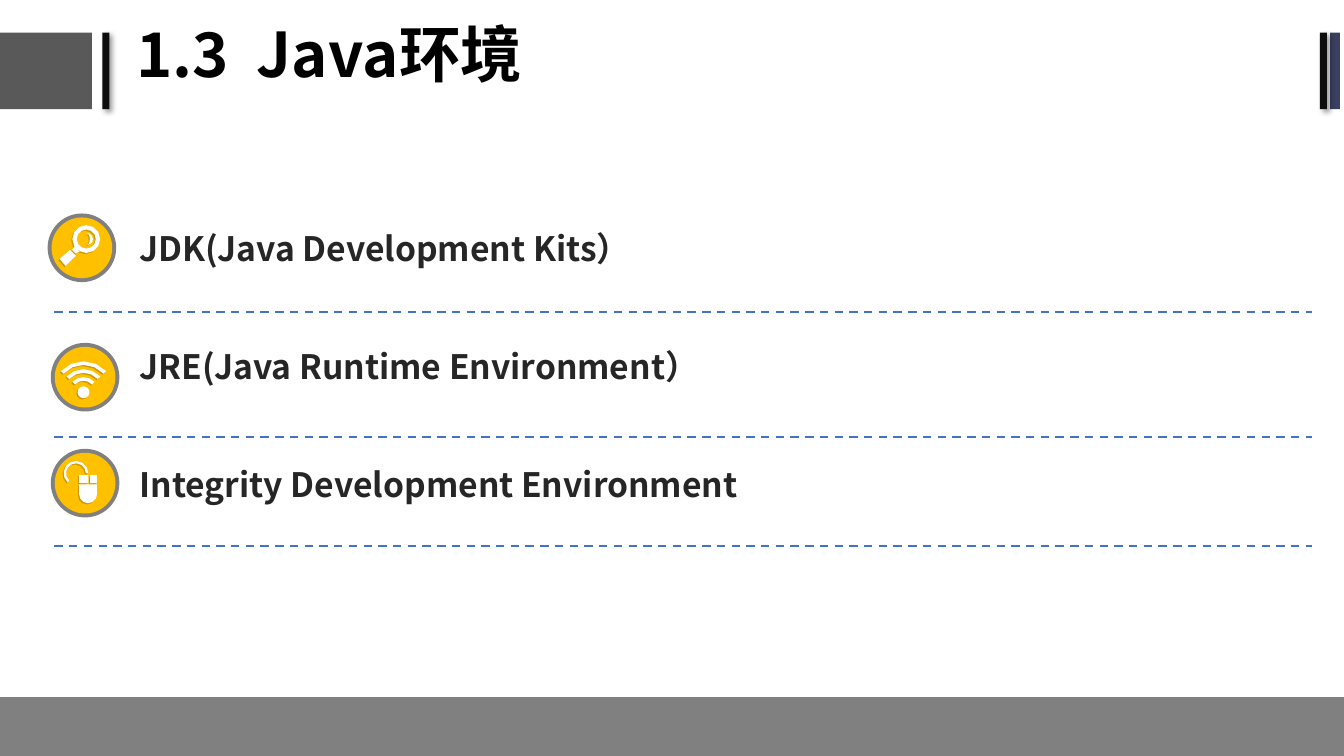
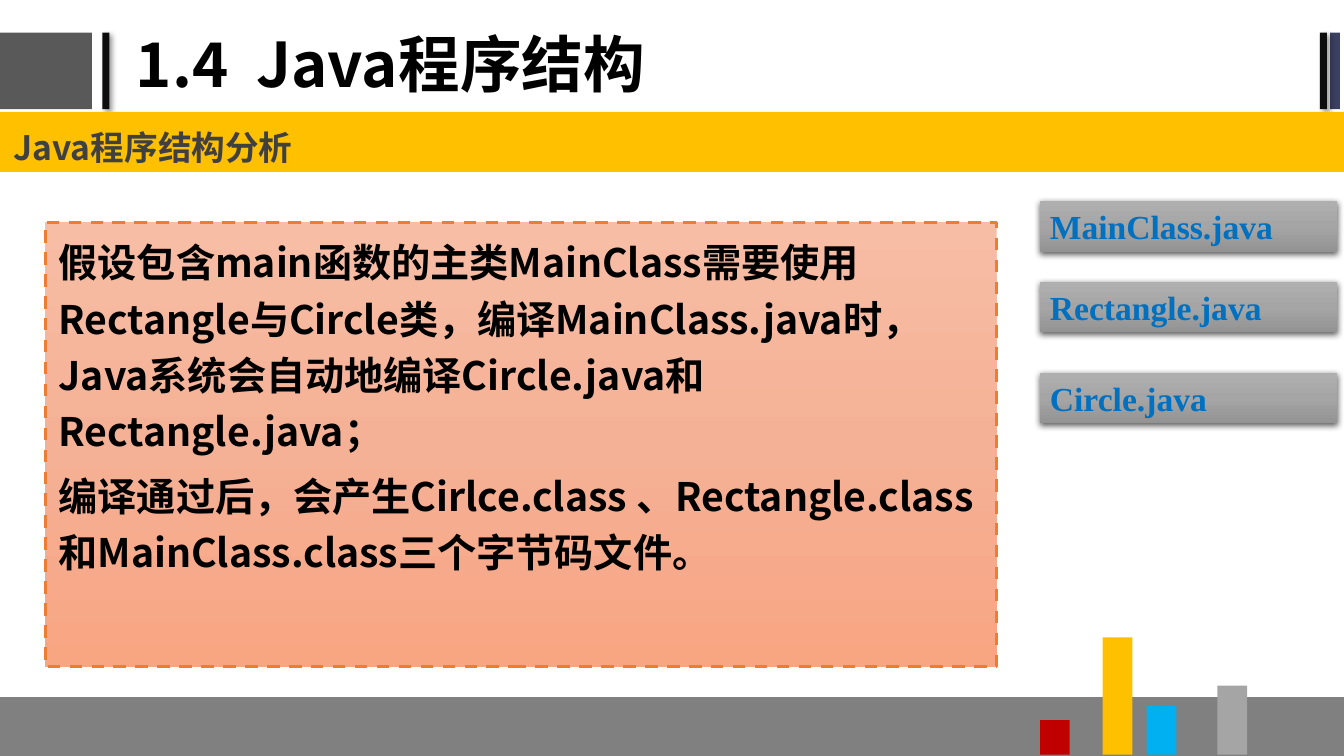
from copy import deepcopy
from dataclasses import dataclass
from math import ceil, cos, radians, sin

from lxml.etree import SubElement
from pptx import Presentation
from pptx.dml.color import RGBColor
from pptx.enum.dml import MSO_LINE
from pptx.enum.shapes import MSO_CONNECTOR, MSO_SHAPE
from pptx.enum.text import MSO_ANCHOR, MSO_AUTO_SIZE, PP_ALIGN
from pptx.oxml.ns import qn
from pptx.util import Cm, Pt


@dataclass(frozen=True)
class Theme:
    sans: str = "Noto Sans CJK SC"
    serif: str = "Times New Roman"
    title_size: int = 44
    body_size: int = 28
    item_size: int = 24
    black: str = "000000"
    white: str = "FFFFFF"
    ink: str = "262626"
    heading: str = "404040"
    block: str = "595959"
    stripe: str = "0D0D0D"
    navy: str = "3B3F60"
    grey: str = "808080"
    silver: str = "A5A5A5"
    yellow: str = "FFC000"
    red: str = "C00000"
    cyan: str = "00B0F0"
    blue: str = "0070C0"
    rule: str = "4472C4"
    orange: str = "ED7D31"
    peach: tuple = ("F7BDA5", "F5B196", "F8A582")
    steel: tuple = ("AFAFAF", "A5A5A5", "939393")


T = Theme()
WIDTH, HEIGHT = 33.87, 19.05
BADGE = 1.73


def rgb(value):
    return RGBColor.from_string(value)


def cm_box(*lengths):
    return [Cm(v) for v in lengths]


def paint(sp, color, alpha=None):
    """Give a flat fill (or a three-stop vertical gradient), no line, no shadow."""
    sp.shadow.inherit = False
    sp.line.fill.background()
    if isinstance(color, tuple):
        sp.fill.gradient()
        sp.fill.gradient_angle = 270
        stops = sp.element.spPr.find(".//" + qn("a:gsLst"))
        stops.append(deepcopy(stops[0]))
        for stop, position, c in zip(sp.fill.gradient_stops, (0, 0.5, 1), color):
            stop.position = position
            stop.color.rgb = rgb(c)
    else:
        sp.fill.solid()
        sp.fill.fore_color.rgb = rgb(color)
    if alpha:
        clr = sp.element.spPr.find(".//" + qn("a:srgbClr"))
        SubElement(clr, qn("a:alpha"), val=str(alpha * 1000))
    return sp


def add_box(shapes, box, color, kind=MSO_SHAPE.RECTANGLE):
    return paint(shapes.add_shape(kind, *cm_box(*box)), color)


def cast_shadow(sp, alpha, blur, distance, angle):
    effects = sp.element.spPr.find(qn("a:effectLst"))
    shadow = SubElement(effects, qn("a:outerShdw"), blurRad=str(Pt(blur)),
                        dist=str(Pt(distance)), dir=str(angle * 60000),
                        algn="ctr", rotWithShape="0")
    clr = SubElement(shadow, qn("a:srgbClr"), val=T.black)
    SubElement(clr, qn("a:alpha"), val=str(alpha * 1000))


def write(tf, lines, size, color, font=T.sans, spacing=None, before=0, after=0):
    tf.text = "\n".join(lines)
    tf.word_wrap = True
    for p in tf.paragraphs:
        p.alignment = PP_ALIGN.LEFT
        p.line_spacing = spacing
        p.space_before, p.space_after = Pt(before), Pt(after)
        for r in p.runs:
            r.font.size, r.font.bold = Pt(size), True
            r.font.color.rgb = rgb(color)
            r.font.name = font
            SubElement(r.font._element, qn("a:ea"), typeface=font)


def pad(tf):
    tf.vertical_anchor = MSO_ANCHOR.TOP
    tf.margin_left = tf.margin_right = Cm(0.34)
    tf.margin_top = tf.margin_bottom = Cm(0.17)


def build_layout(layout, slide):
    """Draw the shared bands on the slide and move them to its layout."""
    for ph in list(layout.placeholders):
        if ph.placeholder_format.idx:
            ph.element.getparent().remove(ph.element)
    top, height = 0.82, 1.93
    bands = [add_box(slide.shapes, (left, top, width, height), color)
             for left, width, color in ((-0.05, 2.37, T.block),
                                        (33.52, 0.25, T.navy),
                                        (2.58, 0.18, T.stripe),
                                        (33.26, 0.18, T.stripe))]
    for stripe in bands[2:]:
        cast_shadow(stripe, 40, 4, 3, 45)
    bands.append(add_box(slide.shapes, (0, 17.57, WIDTH, 1.48), T.grey))
    for i, band in enumerate(bands):
        layout.shapes.element.insert(2 + i, band.element)


def set_title(slide, text, box):
    title = slide.shapes.title
    title.left, title.top, title.width, title.height = cm_box(*box)
    title.text_frame.vertical_anchor = MSO_ANCHOR.MIDDLE
    write(title.text_frame, [text], T.title_size, T.black, spacing=0.9)


def arc(cx, cy, rx, start, end, ry=None):
    """Points along an arc, in degrees clockwise from the right."""
    steps = ceil(abs(end - start) / 30)
    angles = [radians(start + (end - start) * i / steps) for i in range(steps + 1)]
    return [(cx + rx * cos(a), cy + (ry or rx) * sin(a)) for a in angles]


def circle(cx, cy, r):
    return arc(cx, cy, r, 0, 360)[:-1]


def arc_band(cx, cy, outer, inner, start, end):
    return arc(cx, cy, outer, start, end) + arc(cx, cy, inner, end, start)


def rect(left, top, right, bottom):
    return [(left, top), (right, top), (right, bottom), (left, bottom)]


# Each glyph is a list of outlines, and each outline a list of contours,
# in centimetres from the centre of its badge.
def magnifier():
    cx, cy = 0.11, -0.22
    return [[
        circle(cx, cy, 0.35),
        circle(cx, cy, 0.24),
        arc(0.13, cy, 0.15, -90, 90) + arc(0.13, cy, 0.07, 60, -60, 0.15),
        [(-0.18, -0.03), (-0.25, 0.05), (-0.15, 0.15), (-0.05, 0.08)],
        [(-0.3, 0.05), (-0.56, 0.28), (-0.41, 0.46), (-0.15, 0.2)],
    ]]


def wireless():
    cx, cy = -0.04, 0.38
    waves = [[arc_band(cx, cy, r, r - 0.09, -137, -43)] for r in (0.38, 0.58, 0.78)]
    return [[circle(cx, cy, 0.15)]] + waves


def mouse():
    body = arc(0.075, 0.28, 0.225, 0, 180) + [(-0.15, 0.03), (0.3, 0.03)]
    return [[rect(0.13, -0.2, 0.3, 0), rect(-0.15, -0.2, 0.08, 0), body],
            [arc_band(-0.23, -0.25, 0.31, 0.25, 0, -228)]]


def add_outline(shapes, cx, cy, contours, color, alpha=None):
    placed = [[(Cm(cx + x), Cm(cy + y)) for x, y in c] for c in contours]
    builder = shapes.build_freeform(*placed[0][0])
    for i, points in enumerate(placed):
        if i:
            builder.move_to(*points[0])
        builder.add_line_segments(points[1:], close=True)
    paint(builder.convert_to_shape(), color, alpha)


def add_badge(slide, left, top, glyph):
    shapes = slide.shapes.add_group_shape().shapes
    for inset, color in ((0, T.grey), (0.1, T.yellow)):
        side = BADGE - 2 * inset
        add_box(shapes, (left + inset, top + inset, side, side), color, MSO_SHAPE.OVAL)
    cx, cy = left + BADGE / 2, top + BADGE / 2
    for shift, color, alpha in ((0.03, T.black, 20), (0, T.white, None)):
        for contours in glyph:
            add_outline(shapes, cx - shift, cy + shift, contours, color, alpha)


def add_rule(slide, left, right, y):
    line = slide.shapes.add_connector(MSO_CONNECTOR.STRAIGHT, *cm_box(left, y, right, y))
    line.line.color.rgb = rgb(T.rule)
    line.line.width = Pt(1.5)
    line.line.dash_style = MSO_LINE.DASH
    SubElement(line.element.spPr, qn("a:effectLst"))


def add_items(slide, box, items):
    """Items are (text, glyph, badge left, badge top, rule height)."""
    tf = slide.shapes.add_textbox(*cm_box(*box)).text_frame
    pad(tf)
    write(tf, [item[0] for item in items], T.item_size, T.ink,
          spacing=1.3, before=4.8, after=42.1)
    for _, glyph, left, top, rule_y in items:
        add_badge(slide, left, top, glyph)
        add_rule(slide, 1.37, 33.07, rule_y)


def add_heading(slide, box, text):
    tf = add_box(slide.shapes, box, T.yellow).text_frame
    pad(tf)
    write(tf, [text], T.item_size, T.heading, spacing=1.2, before=4.8)


def add_panel(slide, box, lines):
    sp = add_box(slide.shapes, box, T.peach)
    sp.line.color.rgb = rgb(T.orange)
    sp.line.width = Pt(2.25)
    sp.line.dash_style = MSO_LINE.DASH
    pad(sp.text_frame)
    write(sp.text_frame, lines, T.body_size, T.black, spacing=1.2, before=5.6)


def add_file_label(slide, left, top, name):
    sp = add_box(slide.shapes, (left, top, 7.49, 1.28), T.steel)
    cast_shadow(sp, 63, 4.5, 1.5, 90)
    tf = sp.text_frame
    tf.vertical_anchor = MSO_ANCHOR.TOP
    write(tf, [name], T.item_size, T.blue, T.serif)
    tf.auto_size = MSO_AUTO_SIZE.SHAPE_TO_FIT_TEXT


def add_bars(slide, left, bottom):
    shapes = slide.shapes.add_group_shape().shapes
    for offset, height, color in ((4.47, 1.74, T.silver), (2.69, 1.24, T.cyan),
                                  (1.58, 2.96, T.yellow), (0, 0.87, T.red)):
        add_box(shapes, (left + offset, bottom - height, 0.75, height), color)


def environment_slide(slide):
    set_title(slide, "1.3  Java环境", (3.18, 0.05, 21.51, 2.79))
    add_items(slide, (3.18, 5.28, 29.69, 12.07), [
        ("JDK(Java Development Kits）", magnifier(), 1.2, 5.38, 7.87),
        ("JRE(Java Runtime Environment）", wireless(), 1.28, 8.64, 11.01),
        ("Integrity Development Environment", mouse(), 1.28, 11.31, 13.76),
    ])


def structure_slide(slide):
    set_title(slide, "1.4  Java程序结构", (3.17, 0, 28.58, 3.42))
    add_bars(slide, 26.21, 19.02)
    add_heading(slide, (0, 2.82, WIDTH, 1.51), "Java程序结构分析")
    add_panel(slide, (1.14, 5.6, 23.98, 11.2), [
        "假设包含main函数的主类MainClass需要使用Rectangle与Circle类，"
        "编译MainClass.java时，Java系统会自动地编译Circle.java和Rectangle.java；",
        "编译通过后，会产生Cirlce.class 、Rectangle.class和MainClass.class三个字节码文件。",
    ])
    for name, top in (("MainClass.java", 5.07), ("Rectangle.java", 7.1),
                      ("Circle.java", 9.39)):
        add_file_label(slide, 26.21, top, name)


def main():
    prs = Presentation()
    prs.slide_width, prs.slide_height = Cm(WIDTH), Cm(HEIGHT)
    layout = prs.slide_layouts[5]
    first = prs.slides.add_slide(layout)
    build_layout(layout, first)
    environment_slide(first)
    structure_slide(prs.slides.add_slide(layout))
    prs.save("out.pptx")


if __name__ == "__main__":
    main()
